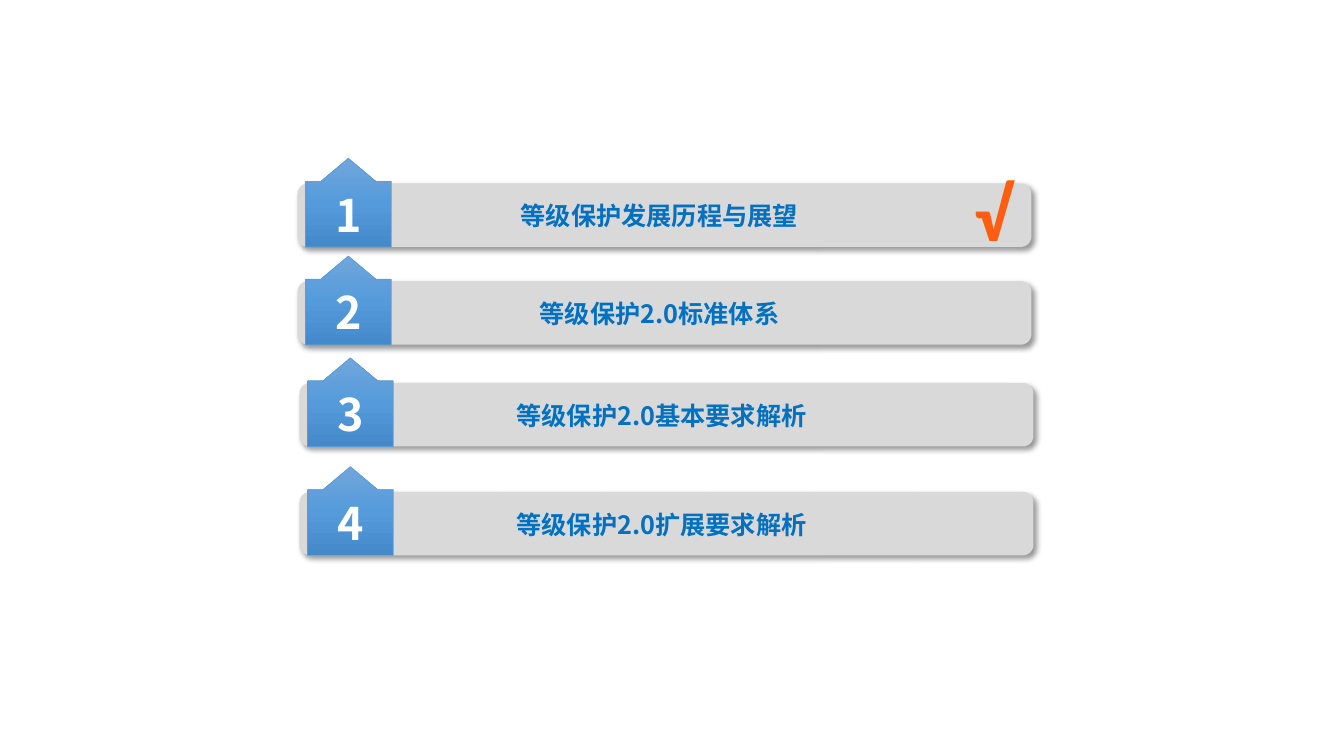
from typing import NamedTuple

from lxml.etree import SubElement
from pptx import Presentation
from pptx.dml.color import RGBColor
from pptx.dml.fill import FillFormat
from pptx.enum.shapes import MSO_SHAPE
from pptx.enum.text import MSO_ANCHOR, MSO_AUTO_SIZE, PP_ALIGN
from pptx.oxml.ns import qn
from pptx.shapes.autoshape import Shape
from pptx.text.text import Font, TextFrame
from pptx.util import Emu, Pt

PX = 9144  # 100 px to the inch
CJK_FONT = "Noto Sans CJK SC"
BLACK = RGBColor(0x00, 0x00, 0x00)
WHITE = RGBColor(0xFF, 0xFF, 0xFF)
BAR_GRAY = RGBColor(0xD9, 0xD9, 0xD9)
TITLE_BLUE = RGBColor(0x00, 0x70, 0xC0)
BADGE_EDGE = RGBColor(0x5B, 0x9B, 0xD5)


class Stop(NamedTuple):
    percent: int
    color: RGBColor


class Chapter(NamedTuple):
    left: int
    top: int
    title: str


BADGE_STOPS = [
    Stop(0, RGBColor(0x71, 0xA6, 0xDB)),
    Stop(50, RGBColor(0x55, 0x9B, 0xDB)),
    Stop(100, RGBColor(0x44, 0x8A, 0xCA)),
]
CHECK_STOPS = [
    Stop(0, RGBColor(0xFF, 0xAC, 0x8E)),
    Stop(75, RGBColor(0xFF, 0x5D, 0x12)),
    Stop(100, RGBColor(0xD4, 0x56, 0x00)),
]
BADGE_ADJUSTMENTS = [1.61, 0.32, 0.27, 0.81]
CHAPTERS = [
    Chapter(295, 182, "等级保护发展历程与展望"),
    Chapter(295, 279, "等级保护2.0标准体系"),
    Chapter(297, 380, "等级保护2.0基本要求解析"),
    Chapter(297, 488, "等级保护2.0扩展要求解析"),
]

prs = Presentation()
prs.slide_width, prs.slide_height = Emu(1333 * PX), Emu(750 * PX)
slide = prs.slides.add_slide(prs.slide_layouts[6])


def box(*px: int) -> list[Emu]:
    return [Emu(n * PX) for n in px]


def set_gradient(fill: FillFormat, element, stops: list[Stop]) -> None:
    """Fill from top to bottom; element is the XML that holds the fill."""
    fill.gradient()
    fill.gradient_angle = 270
    stop_list = element.find(".//" + qn("a:gsLst"))
    for old in list(stop_list):
        stop_list.remove(old)
    for stop in stops:
        gs = SubElement(stop_list, qn("a:gs"), pos=str(stop.percent * 1000))
        SubElement(gs, qn("a:srgbClr"), val=str(stop.color))


def add_shadow(sp: Shape) -> None:
    effects = sp._element.spPr.find(qn("a:effectLst"))
    shadow = SubElement(effects, qn("a:outerShdw"), blurRad=str(Pt(4)), dist=str(Pt(3)),
                        dir="2700000", algn="tl", rotWithShape="0")
    color = SubElement(shadow, qn("a:srgbClr"), val=str(BLACK))
    SubElement(color, qn("a:alpha"), val="40000")


def write(tf: TextFrame, text: str, size: int, name: str) -> Font:
    tf.word_wrap = True
    p = tf.paragraphs[0]
    p.text = text
    p.alignment = PP_ALIGN.CENTER
    font = p.font
    font.size, font.bold, font.name = Pt(size), True, name
    props = p._p.pPr.find(qn("a:defRPr"))
    SubElement(props, qn("a:ea"), typeface=name)
    return font


def add_bar(left: int, top: int) -> None:
    sp = slide.shapes.add_shape(MSO_SHAPE.ROUNDED_RECTANGLE, *box(left, top, 728, 63))
    sp.shadow.inherit = False
    sp.fill.solid()
    sp.fill.fore_color.rgb = BAR_GRAY
    sp.line.fill.background()
    add_shadow(sp)


def add_badge(left: int, top: int, number: int) -> None:
    sp = slide.shapes.add_shape(MSO_SHAPE.UP_ARROW_CALLOUT, *box(left, top, 85, 88))
    sp.shadow.inherit = False
    for i, value in enumerate(BADGE_ADJUSTMENTS):
        sp.adjustments[i] = value
    set_gradient(sp.fill, sp._element.spPr, BADGE_STOPS)
    sp.line.color.rgb = BADGE_EDGE
    sp.line.width = Pt(0.5)
    sp.text_frame.vertical_anchor = MSO_ANCHOR.MIDDLE
    write(sp.text_frame, str(number), 32, CJK_FONT).color.rgb = WHITE


def add_label(left: int, top: int, width: int, height: int) -> TextFrame:
    tf = slide.shapes.add_textbox(*box(left, top, width, height)).text_frame
    tf.auto_size = MSO_AUTO_SIZE.SHAPE_TO_FIT_TEXT
    return tf


# Chapter rows: bar, numbered badge, title
for number, chapter in enumerate(CHAPTERS, start=1):
    left, top, title = chapter
    add_bar(left, top)
    add_badge(left + 8, top - 25, number)
    tf = add_label(left + 95, top + 12, 528, 40)
    write(tf, title, 18, CJK_FONT).color.rgb = TITLE_BLUE

# Check mark on the current chapter
tf = add_label(946, 160, 78, 101)
font = write(tf, "√", 54, "Calibri")
set_gradient(font.fill, tf.paragraphs[0]._p, CHECK_STOPS)

prs.save("out.pptx")
